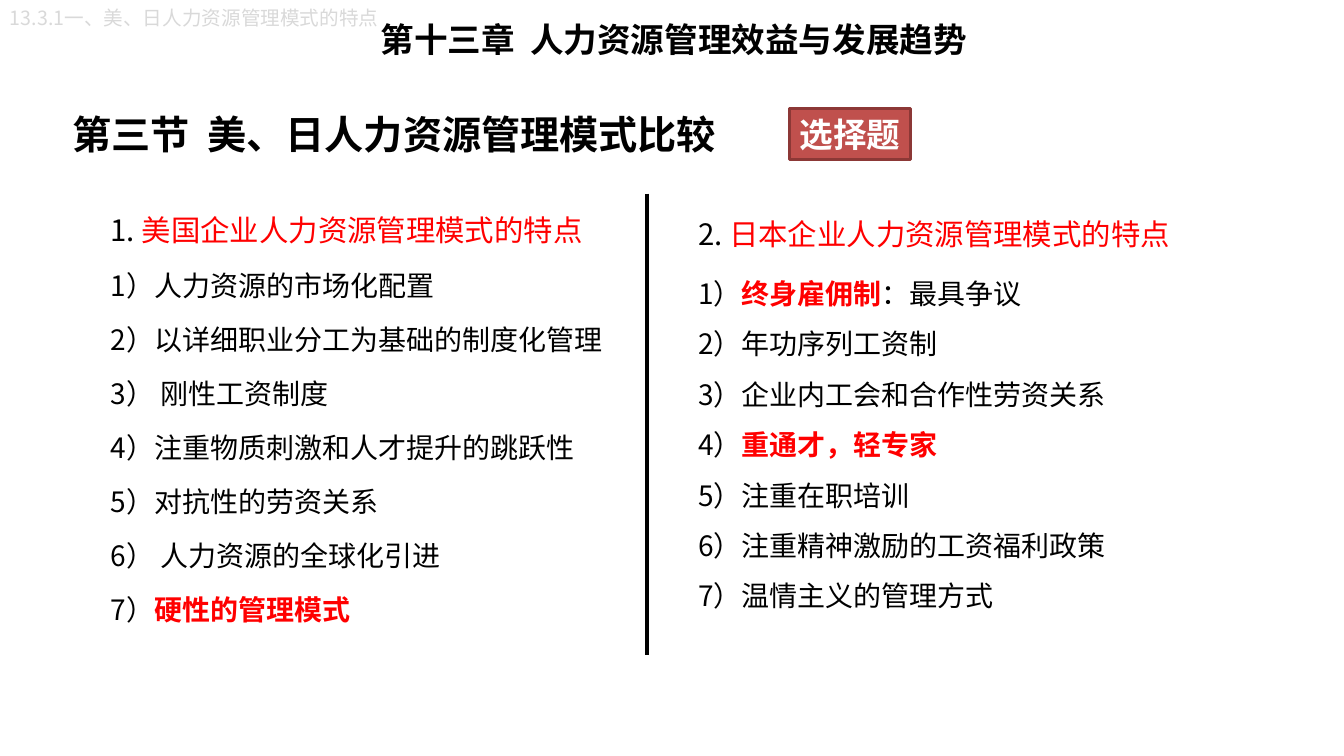
from lxml.etree import SubElement
from pptx import Presentation
from pptx.dml.color import RGBColor
from pptx.enum.shapes import MSO_CONNECTOR as Link, MSO_SHAPE as Shape
from pptx.enum.text import MSO_ANCHOR as Anchor, MSO_AUTO_SIZE as Fit
from pptx.oxml.ns import qn
from pptx.util import Inches, Pt

BLACK = RGBColor(0x00, 0x00, 0x00)
RED = RGBColor(0xFF, 0x00, 0x00)
WHITE = RGBColor(0xFF, 0xFF, 0xFF)
GREY = RGBColor(0xD9, 0xD9, 0xD9)
BRICK = RGBColor(0xC0, 0x50, 0x4D)
MAROON = RGBColor(0x8C, 0x38, 0x36)

# Words between asterisks are red.
US_HEAD = "1. *美国企业人力资源管理模式的特点*"
US_LIST = [
    "人力资源的市场化配置",
    "以详细职业分工为基础的制度化管理",
    " 刚性工资制度",
    "注重物质刺激和人才提升的跳跃性",
    "对抗性的劳资关系",
    " 人力资源的全球化引进",
    "*硬性的管理模式*",
]
JAPAN_HEAD = "2. *日本企业人力资源管理模式的特点*"
JAPAN_LIST = [
    "*终身雇佣制*：最具争议",
    "年功序列工资制",
    "企业内工会和合作性劳资关系",
    "*重通才，轻专家*",
    "注重在职培训",
    "注重精神激励的工资福利政策",
    "温情主义的管理方式",
]


class Board:
    font = "Noto Sans CJK SC"

    def __init__(self, slide):
        self.shapes = slide.shapes

    def style(self, run, size, color, bold=False):
        font = run.font
        font.name, font.size, font.bold = self.font, Pt(size), bold
        font.color.rgb = color
        props = run._r.get_or_add_rPr()
        SubElement(props, qn("a:ea")).set("typeface", self.font)

    def box(self, area):
        return self.shapes.add_textbox(*map(Inches, area))

    def label(self, shape, text, size, color, bold=True, wrap=False, fit=Fit.SHAPE_TO_FIT_TEXT):
        frame = shape.text_frame
        frame.text = text
        frame.word_wrap, frame.auto_size = wrap, fit
        self.style(frame.paragraphs[0].runs[0], size, color, bold)
        return frame

    def badge(self, area, text):
        shape = self.shapes.add_shape(Shape.RECTANGLE, *map(Inches, area))
        shape.shadow.inherit = False
        shape.fill.solid()
        shape.fill.fore_color.rgb = BRICK
        shape.line.color.rgb = MAROON
        shape.line.width = Pt(2)
        self.label(shape, text, 24, WHITE)

    def rule(self, x, top, end):
        line = self.shapes.add_connector(
            Link.STRAIGHT, Inches(x), Inches(top), Inches(x), Inches(end))
        line.line.color.rgb = BLACK
        line.line.width = Pt(3)
        SubElement(line._element.spPr, qn("a:effectLst"))

    def column(self, area, head, items, spacing, before=0, after=0):
        """Add a heading with numbered points below it."""
        frame = self.box(area).text_frame
        frame.word_wrap = True
        lines = [head] + [f"{n}）{item}" for n, item in enumerate(items, 1)]
        for row, text in enumerate(lines):
            para = frame.add_paragraph() if row else frame.paragraphs[0]
            para.line_spacing = spacing
            para.space_before = Pt(before if row else 0)
            para.space_after = Pt(0 if row else after)
            for i, part in enumerate(text.split("*")):
                if part:
                    run = para.add_run()
                    run.text = part
                    red = i % 2 == 1
                    self.style(run, 20 if row else 21, RED if red else BLACK, red and row > 0)


def main():
    deck = Presentation()
    deck.slide_width, deck.slide_height = Inches(13.34), Inches(7.5)
    board = Board(deck.slides.add_slide(deck.slide_layouts[6]))

    board.column((1, 1.92, 5.25, 4.54), US_HEAD, US_LIST, 1.4, before=5)
    title = board.label(board.box((0.62, 1.04, 9, 0.58)),
                        "第三节  美、日人力资源管理模式比较", 28, BLACK, wrap=True, fit=Fit.NONE)
    title.vertical_anchor = Anchor.MIDDLE
    board.column((6.83, 1.92, 5.45, 4.54), JAPAN_HEAD, JAPAN_LIST, 1.5, after=6)
    board.rule(6.42, 1.92, 6.5)
    board.label(board.box((3.68, 0.14, 6.02, 0.5)),
                "第十三章  人力资源管理效益与发展趋势", 24, BLACK)
    board.badge((7.84, 1.08, 1.2, 0.5), "选择题")
    board.label(board.box((0, 0.01, 6.55, 0.34)),
                "13.3.1一、美、日人力资源管理模式的特点", 14, GREY, bold=False, wrap=True)
    deck.save("out.pptx")


if __name__ == "__main__":
    main()
